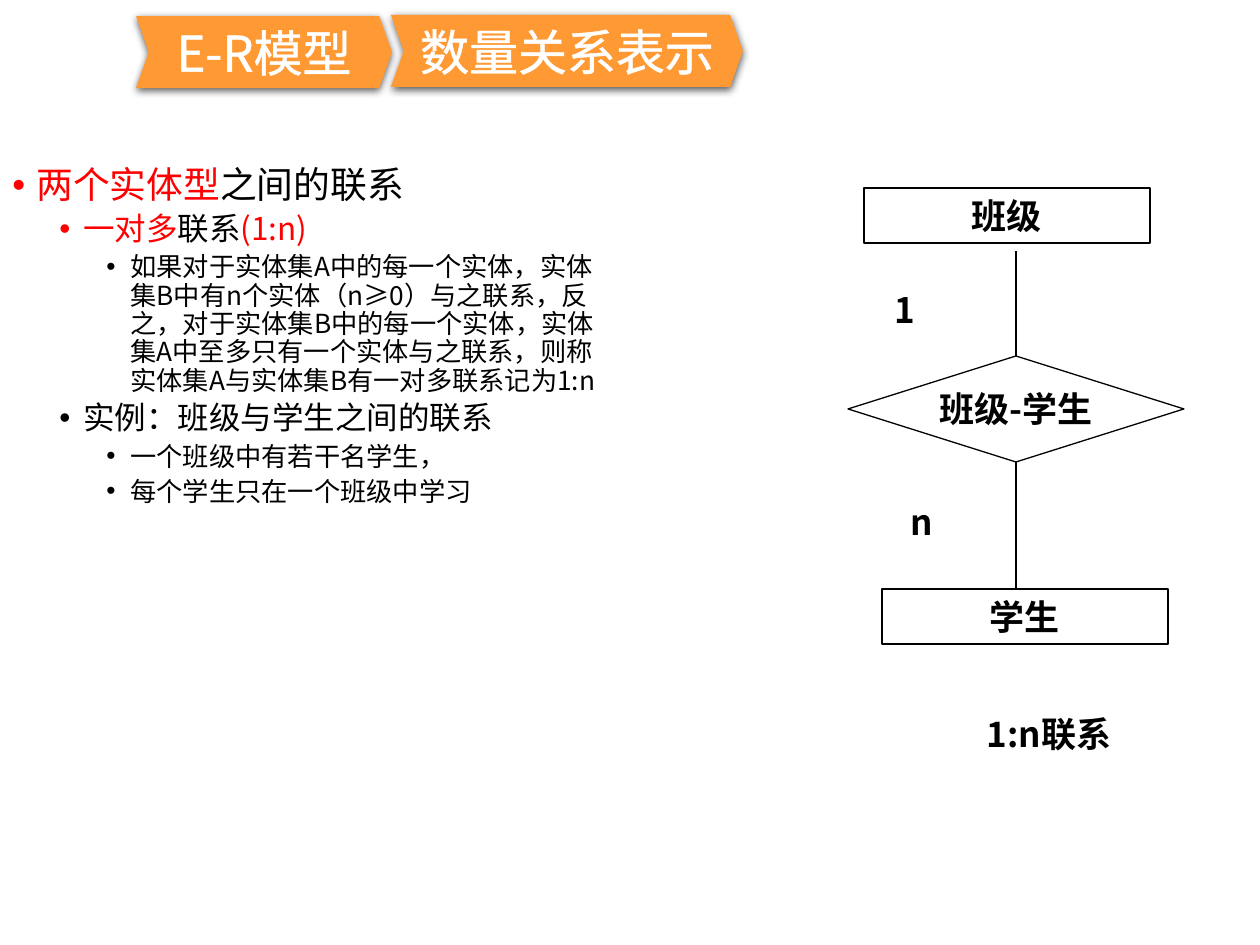
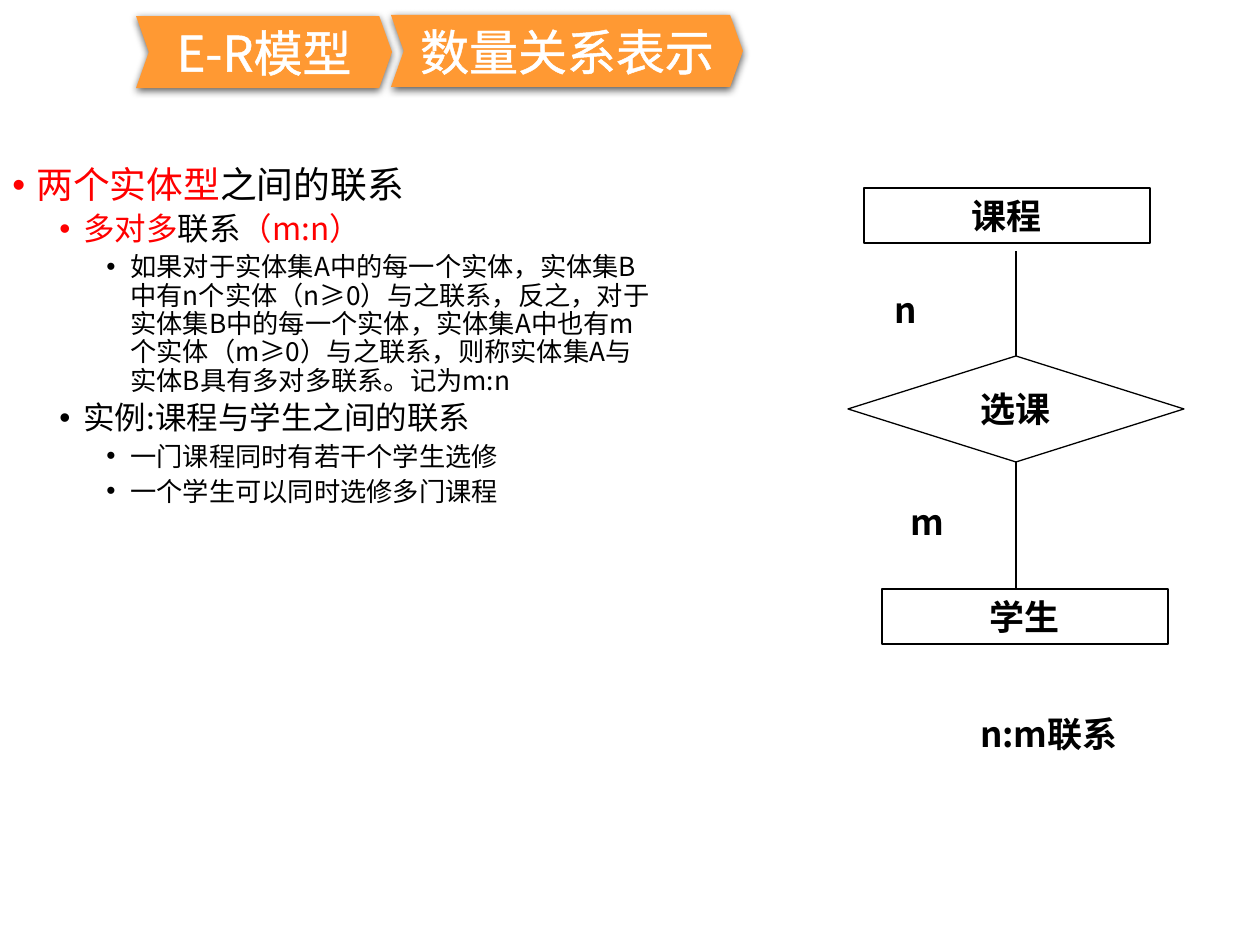
import pptx
import pptx.dml.color
import pptx.enum.shapes
import pptx.enum.text
import pptx.oxml
import pptx.oxml.ns
import pptx.util
from lxml import etree

SHAPE = pptx.enum.shapes.MSO_SHAPE
ALIGN = pptx.enum.text.PP_ALIGN
ANCHOR = pptx.enum.text.MSO_ANCHOR
FIT = pptx.enum.text.MSO_AUTO_SIZE
PX = 914400 // 126

FONT = "Noto Sans CJK SC"
ORANGE = pptx.dml.color.RGBColor(0xFF, 0x99, 0x33)
RED = pptx.dml.color.RGBColor(0xFF, 0, 0)
BLACK = pptx.dml.color.RGBColor(0, 0, 0)
WHITE = pptx.dml.color.RGBColor(0xFF, 0xFF, 0xFF)

# Breadcrumb: text, box (left, top, width, height)
BREADCRUMB = [
    ("E-R模型", (136, 16, 256, 72)),
    ("数量关系表示", (391, 15, 352, 72)),
]

# Outline levels: size, left margin in pixels, space before
LEVELS = [(21, 24, 7.5), (18, 71, 3.8), (15, 118, 3.8)]
HANGING = 24

# Each outline line: level, runs of (text, colour)
HEADING = (0, [("两个实体型", RED), ("之间的联系", BLACK)])
SLIDES = [
    {
        "outline_width": 621,
        "outline": [
            HEADING,
            (1, [("一对多", RED), ("联系", BLACK), ("(1:n)", RED)]),
            (2, [("如果对于实体集A中的每一个实体，实体集B中有n个实体（n≥0）与之联系，"
                  "反之，对于实体集B中的每一个实体，实体集A中至多只有一个实体与之联系，"
                  "则称实体集A与实体集B有一对多联系记为1:n", BLACK)]),
            (1, [("实例：班级与学生之间的联系", BLACK)]),
            (2, [("一个班级中有若干名学生，", BLACK)]),
            (2, [("每个学生只在一个班级中学习", BLACK)]),
        ],
        "upper": "班级", "relation": "班级-学生", "lower": "学生",
        "upper_count": "1", "lower_count": "n", "caption": "1:n联系",
    },
    {
        "outline_width": 665,
        "outline": [
            HEADING,
            (1, [("多对多", RED), ("联系", BLACK), ("（m:n）", RED)]),
            (2, [("如果对于实体集A中的每一个实体，实体集B中有n个实体（n≥0）与之联系，"
                  "反之，对于实体集B中的每一个实体，实体集A中也有m个实体（m≥0）与之联系，"
                  "则称实体集A与实体B具有多对多联系。记为m:n", BLACK)]),
            (1, [("实例:课程与学生之间的联系", BLACK)]),
            (2, [("一门课程同时有若干个学生选修", BLACK)]),
            (2, [("一个学生可以同时选修多门课程", BLACK)]),
        ],
        "upper": "课程", "relation": "选课", "lower": "学生",
        "upper_count": "n", "lower_count": "m", "caption": "n:m联系",
    },
]

# Diagram parts: preset shape (None for plain text), box, alignment
DIAGRAM = {
    "upper": (SHAPE.RECTANGLE, (864, 188, 286, 55), ALIGN.CENTER),
    "relation": (SHAPE.DIAMOND, (848, 356, 336, 106), ALIGN.CENTER),
    "lower": (SHAPE.RECTANGLE, (882, 589, 286, 55), ALIGN.CENTER),
    "upper_count": (None, (882, 282, 84, 55), ALIGN.LEFT),
    "lower_count": (None, (898, 494, 84, 55), ALIGN.LEFT),
    "caption": (None, (898, 706, 302, 55), ALIGN.CENTER),
}
LINK_X = 1016
LINKS = [(356, 251), (462, 589)]  # start and end heights


def emu(box):
    """Turn a box in pixels into EMU."""
    return [length * PX for length in box]


def add_run(paragraph, text, size, colour, bold=False):
    """Add one run in the deck's font, for Latin and East Asian text."""
    run = paragraph.add_run()
    run.text = text
    font = run.font
    font.size, font.bold, font.name = pptx.util.Pt(size), bold, FONT
    font.color.rgb = colour
    east_asian = etree.SubElement(run._r.rPr, pptx.oxml.ns.qn("a:ea"))
    east_asian.set("typeface", FONT)
    return run


def add_xml(parent, body, index=None):
    """Put a fragment of DrawingML into a parent element."""
    tag, rest = body.split(" ", 1)
    element = pptx.oxml.parse_xml(f"<{tag} {pptx.oxml.ns.nsdecls('a')} {rest}")
    parent.insert(len(parent) if index is None else index, element)


def add_breadcrumb(slide):
    """Draw the orange chevrons across the top."""
    for text, box in BREADCRUMB:
        chevron = slide.shapes.add_shape(SHAPE.CHEVRON, *emu(box))
        chevron.adjustments[0] = 0.178
        chevron.fill.solid()
        chevron.fill.fore_color.rgb = ORANGE
        chevron.line.fill.background()
        add_xml(chevron._element.spPr,
                'a:effectLst ><a:outerShdw blurRad="57150" dist="19050" dir="5400000" '
                'algn="ctr" rotWithShape="0"><a:srgbClr val="000000">'
                '<a:alpha val="63000"/></a:srgbClr></a:outerShdw></a:effectLst>')
        frame = chevron.text_frame
        frame.word_wrap = True
        frame.auto_size = FIT.SHAPE_TO_FIT_TEXT
        frame.vertical_anchor = ANCHOR.MIDDLE
        frame.paragraphs[0].alignment = ALIGN.CENTER
        run = add_run(frame.paragraphs[0], text, 28, WHITE)
        add_xml(run._r.rPr, 'a:ln w="18415"><a:solidFill><a:srgbClr val="FFFFFF"/>'
                            '</a:solidFill></a:ln>', 0)


def add_outline(slide, lines, width):
    """Write the bulleted outline on the left."""
    frame = slide.shapes.add_textbox(*emu((0, 161, width, 645))).text_frame
    frame.word_wrap = True
    for number, (level, runs) in enumerate(lines):
        paragraph = frame.add_paragraph() if number else frame.paragraphs[0]
        size, margin, before = LEVELS[level]
        paragraph.level = level
        paragraph.line_spacing = 0.9
        paragraph.space_before = pptx.util.Pt(before)
        properties = paragraph._p.get_or_add_pPr()
        properties.set("marL", str(margin * PX))
        properties.set("indent", str(-HANGING * PX))
        add_xml(properties, 'a:buFont typeface="Arial"/>')
        add_xml(properties, 'a:buChar char="•"/>')
        for text, colour in runs:
            add_run(paragraph, text, size, colour)


def add_diagram(slide, content):
    """Draw the grouped entity-relationship diagram on the right."""
    diagram = slide.shapes.add_group_shape().shapes
    for part, (preset, box, alignment) in DIAGRAM.items():
        if preset is None:
            shape = diagram.add_textbox(*emu(box))
        else:
            shape = diagram.add_shape(preset, *emu(box))
            shape.shadow.inherit = False
            shape.fill.background()
            shape.line.color.rgb = BLACK
            shape.line.width = pptx.util.Pt(0.75)
        frame = shape.text_frame
        is_relation = part == "relation"
        frame.word_wrap = not is_relation
        frame.auto_size = FIT.NONE if is_relation else FIT.SHAPE_TO_FIT_TEXT
        frame.vertical_anchor = ANCHOR.MIDDLE if is_relation else ANCHOR.TOP
        frame.paragraphs[0].alignment = alignment
        add_run(frame.paragraphs[0], content[part], 20, BLACK, bold=True)
    for start, end in LINKS:
        link = diagram.add_connector(pptx.enum.shapes.MSO_CONNECTOR.STRAIGHT,
                                     *emu((LINK_X, start, LINK_X, end)))
        link.line.color.rgb = BLACK
        link.line.width = pptx.util.Pt(0.75)
        add_xml(link._element.spPr, "a:effectLst />")


def main():
    """Build and save the slides."""
    deck = pptx.Presentation()
    deck.slide_width, deck.slide_height = emu((1260, 945))
    for content in SLIDES:
        slide = deck.slides.add_slide(deck.slide_layouts[6])
        add_outline(slide, content["outline"], content["outline_width"])
        add_breadcrumb(slide)
        add_diagram(slide, content)
    deck.save("out.pptx")


main()
